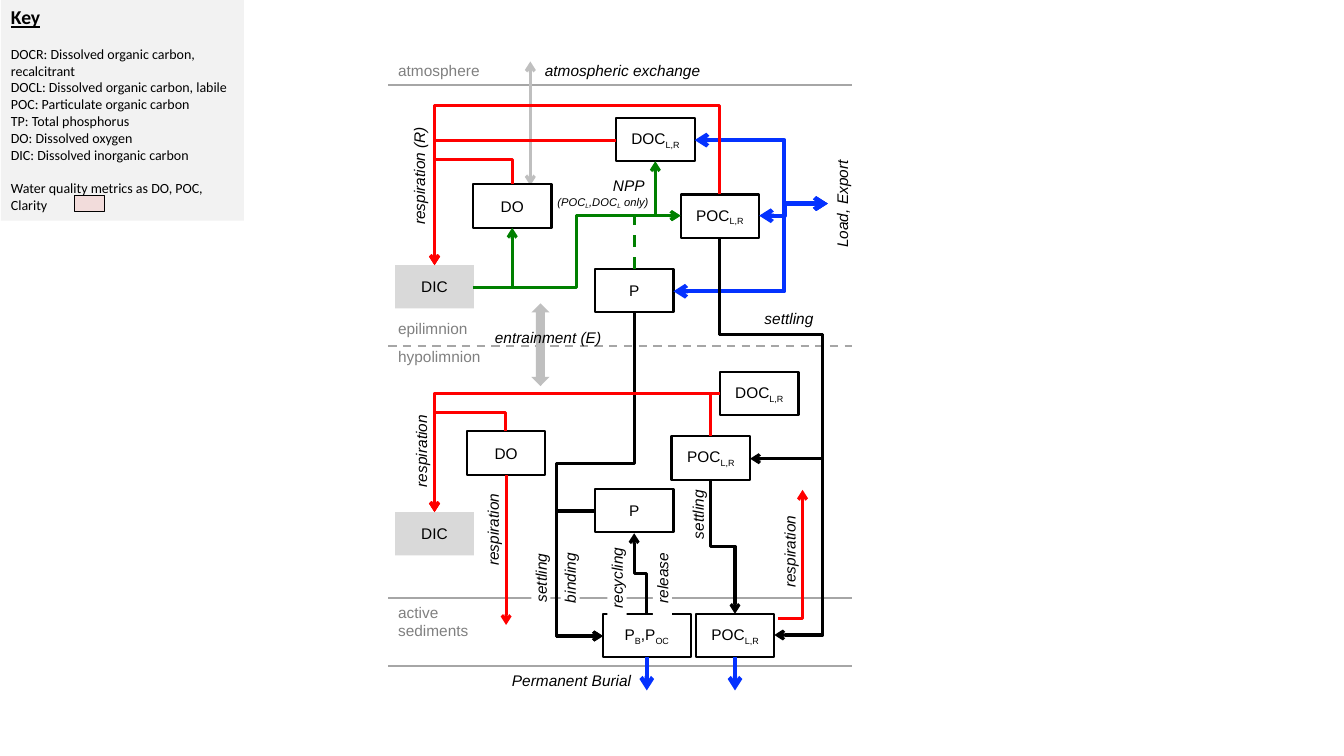
import pptx
import pptx.util
import pptx.dml.color
import pptx.enum.dml
import pptx.enum.shapes
import pptx.enum.text
from lxml import etree
from pptx.oxml.ns import qn

Inches, Pt = pptx.util.Inches, pptx.util.Pt
RGB = pptx.dml.color.RGBColor.from_string
DASH = pptx.enum.dml.MSO_LINE.DASH
SHAPE = pptx.enum.shapes.MSO_SHAPE
LINK = pptx.enum.shapes.MSO_CONNECTOR
ALIGN = pptx.enum.text.PP_ALIGN
ANCHOR = pptx.enum.text.MSO_ANCHOR

THEME = {
    "black": "000000", "white": "FFFFFF", "red": "FF0000", "green": "008000",
    "blue": "0432FF", "rule": "A6A6A6", "swap": "BFBFBF", "pool": "D9D9D9",
    "zone": "808080", "key": "F2F2F2", "rose": "F2DCDB",
    "font": "Arial", "keyfont": "Calibri",
    "text": 11, "small": 8, "head": 14, "body": 10,
    "edge": 1.5, "thin": 0.5, "flow": 2.25, "load": 3,
}

# Content: a leading "_" marks a subscript
KEY = [
    ("Key", 0), ("DOCR: Dissolved organic carbon, recalcitrant", 12),
    ("DOCL: Dissolved organic carbon, labile", 0),
    ("POC: Particulate organic carbon", 0), ("TP: Total phosphorus", 0),
    ("DO: Dissolved oxygen", 0), ("DIC: Dissolved inorganic carbon", 0),
    ("Water quality metrics as DO, POC, Clarity", 12),
]
RULES = [(0.84, None), (3.43, DASH), (5.93, None), (6.61, None)]
DOC, POC = ("DOC", "_L,R"), ("POC", "_L,R")
BOXW, BOXH = 0.78, 0.43
BOXES = {  # name: left, top, text, width
    "epi DO": (4.69, 1.83, ("DO",), BOXW),
    "epi DOC": (6.11, 1.17, DOC, BOXW),
    "epi POC": (6.75, 1.93, POC, BOXW),
    "epi DIC": (3.92, 2.63, ("DIC",), BOXW),
    "epi P": (5.9, 2.67, ("P",), BOXW),
    "hypo DO": (4.63, 4.28, ("DO",), BOXW),
    "hypo DOC": (7.14, 3.69, DOC, BOXW),
    "hypo POC": (6.66, 4.33, POC, BOXW),
    "hypo DIC": (3.92, 5.08, ("DIC",), BOXW),
    "hypo P": (5.9, 4.85, ("P",), BOXW),
    "bed P": (5.98, 6.09, ("P", "_B", ",P", "_OC"), 0.87),
    "bed POC": (6.9, 6.09, POC, BOXW),
}
EXPORT = (8.21, 2.02)
EPIDIC, HYPODIC = (4.31, 2.63), (4.31, 5.08)
ROUTES = [  # colour, corner points
    ("green", [(4.69, 2.85), (5.72, 2.85), (5.72, 2.14), (6.75, 2.14)]),
    ("green", [(4.69, 2.85), (5.08, 2.85), (5.08, 2.26)]),
    ("red", [(5.08, 1.83), (5.08, 1.58), (4.31, 1.58), EPIDIC]),
    ("red", [(6.11, 1.39), (4.31, 1.39), EPIDIC]),
    ("dash", [(6.29, 2.67), (6.29, 2.14), (6.75, 2.14)]),
    ("red", [(5.01, 4.28), (5.01, 4.09), (4.31, 4.09), HYPODIC]),
    ("red", [(7.14, 3.9), (4.31, 3.9), HYPODIC]),
    ("black", [(7.05, 4.76), (7.05, 5.42), (7.29, 5.42), (7.29, 6.09)]),
    ("black", [(7.14, 2.36), (7.14, 3.32), (8.16, 3.32), (8.16, 6.3), (7.68, 6.3)]),
    ("red", [(7.72, 6.14), (7.96, 6.14), (7.96, 4.86)]),
    ("blue", [(6.89, 1.39), (7.78, 1.39), (7.78, 2.02), EXPORT]),
    ("blue", [(7.53, 2.14), (7.78, 2.14), (7.78, 2.02), EXPORT]),
    ("blue", [(6.68, 2.89), (7.78, 2.89), (7.78, 2.02), EXPORT]),
    ("black", [(6.41, 6.09), (6.41, 5.69), (6.29, 5.69), (6.29, 5.29)]),
    ("black", [(5.9, 5.07), (5.52, 5.07), (5.52, 6.31), (5.98, 6.31)]),
    ("red", [(7.14, 1.93), (7.14, 1.05), (4.31, 1.05), EPIDIC]),
    ("black", [(7.14, 2.36), (7.14, 3.32), (8.16, 3.32), (8.16, 4.55), (7.44, 4.55)]),
    ("black", [(6.29, 3.1), (6.29, 4.6), (5.52, 4.6), (5.52, 6.31), (5.98, 6.31)]),
    ("green", [(6.1, 2.14), (6.5, 2.14), (6.5, 1.6)]),
    ("red", [(7.05, 4.33), (7.05, 3.9), (4.31, 3.9), HYPODIC]),
]
DROPS = [("hypo DO", "red", 6.2), ("bed P", "blue", 6.85), ("bed POC", "blue", 6.85)]
ZONES = [("atmosphere", 0.56, 1.02), ("epilimnion", 3.12, 0.9),
         ("hypolimnion", 3.39, 1.03), ("active\nsediments", 5.93, 0.9)]
NOTES = [  # text, left, top, width, turn
    ("Load, Export", 7.33, 1.88, 2.05, 270), ("settling", 7.48, 3.02, 0.69, 0),
    ("atmospheric exchange", 5.3, 0.56, 1.75, 0), ("settling", 6.58, 4.96, 0.69, 270),
    ("respiration", 4.22, 5.11, 1.34, 270), ("respiration", 7.24, 5.33, 1.19, 270),
    ("respiration (R)", 3.57, 1.6, 1.18, 270), ("respiration", 3.51, 4.33, 1.34, 270),
]
ASIDES = [("entrainment (E)", 4.81, 3.21, 1.39), ("Permanent Burial", 4.98, 6.61, 1.93)]
PATCHES = [("settling", 5.12, 0.49), ("binding", 5.16, 0.99),
           ("recycling", 5.72, 0.8), ("release", 6.17, 0.8)]
NPP = [(("NPP ",), "text"), (("(POC", "_L", ",DOC", "_L", " only)"), "small")]

deck = pptx.Presentation()
deck.slide_width, deck.slide_height = Inches(13.33), Inches(7.5)
slide = deck.slides.add_slide(deck.slide_layouts[6])
parts = slide.shapes


def put(item, fmt):
    for name, val in fmt.items():
        setattr(item, name, val)


def tint(name):
    return RGB(THEME[name])


def block(kind, at, fill, edge=None):
    form = parts.add_shape(kind, *map(Inches, at))
    form.shadow.inherit = False
    form.fill.solid()
    form.fill.fore_color.rgb = tint(fill)
    if edge:
        form.line.color.rgb, form.line.width = tint("black"), Pt(THEME[edge])
    else:
        form.line.fill.background()
    return form


def write(para, bits, size="text", hue="black", face="font", align=ALIGN.CENTER, **look):
    para.alignment = align
    for bit in bits:
        run = para.add_run()
        run.text = bit.lstrip("_")
        put(run.font, {"size": Pt(THEME[size]), "name": THEME[face], **look})
        run.font.color.rgb = tint(hue)
        if bit.startswith("_"):
            run._r.get_or_add_rPr().set("baseline", "-25000")


def label(text, x, y, w, turn=0, wrap=False, **look):
    lines = text.split("\n")
    box = parts.add_textbox(*map(Inches, (x, y, w, 0.12 + 0.17 * len(lines))))
    box.rotation, box.text_frame.word_wrap = turn, wrap
    for i, line in enumerate(lines):
        para = box.text_frame.add_paragraph() if i else box.text_frame.paragraphs[0]
        write(para, [line], **look)


def route(points, hue, width="flow", ends=("tail",), dash=None):
    """Draw a connector through right-angled corner points."""
    (x0, y0), (x1, y1) = points[0], points[-1]
    dx, dy = x1 - x0, y1 - y0
    bent = len(points) > 2
    down = bent and points[1][0] == x0
    span = (x0, y0, x1, y1)
    if down:  # laid flat about its centre, then turned a quarter
        cx, cy = (x0 + x1) / 2, (y0 + y1) / 2
        span = (cx - dy / 2, cy + dx / 2, cx + dy / 2, cy - dx / 2)
    line = parts.add_connector(LINK.ELBOW if bent else LINK.STRAIGHT, *map(Inches, span))
    prop = line._element.spPr
    if down:
        prop.find(qn("a:xfrm")).set("rot", "5400000")
    if bent:
        geom = prop.find(qn("a:prstGeom"))
        geom.set("prst", f"bentConnector{len(points) - 1}")
        guides = geom.find(qn("a:avLst"))
        for i, spot in enumerate(points[1:-2]):
            axis = (i + down) % 2
            ratio = (spot[axis] - points[0][axis]) / (dx, dy)[axis]
            etree.SubElement(guides, qn("a:gd"), name=f"adj{i + 1}",
                             fmla=f"val {round(ratio * 100000)}")
    line.line.color.rgb = tint(hue)
    put(line.line, {"width": Pt(THEME[width]), "dash_style": dash})
    for end in ends:
        etree.SubElement(prop.find(qn("a:ln")), qn(f"a:{end}End"), type="arrow")
    etree.SubElement(prop, qn("a:effectLst"))
    return line


# Layer boundaries and exchanges
for y, dash in RULES:
    route([(3.85, y), (8.45, y)], "rule", "edge", (), dash)
route([(5.26, 1.84), (5.26, 0.61)], "swap", ends=("head", "tail"))
block(SHAPE.LEFT_RIGHT_ARROW, (4.95, 3.33, 0.82, 0.18), "swap").rotation = 90

# Stores
made = {}
for name, (x, y, bits, w) in BOXES.items():
    gas = "DIC" in name
    box = block(SHAPE.RECTANGLE, (x, y, w, BOXH), "pool" if gas else "white",
                None if gas else "edge")
    box.text_frame.vertical_anchor = ANCHOR.MIDDLE
    write(box.text_frame.paragraphs[0], bits)
    made[name] = box

# Flows
for hue, points in ROUTES:
    if hue == "blue":
        route(points, hue, "load", ("head", "tail"))
    elif hue == "dash":
        route(points, "green", dash=DASH)
    else:
        route(points, hue)
for name, hue, foot in DROPS:
    x, y, _, w = BOXES[name]
    drop = route([(x + w / 2, y + BOXH), (x + w / 2, foot)], hue,
                 "load" if hue == "blue" else "flow")
    drop.begin_connect(made[name], 2)

# Labels
for text, y, w in ZONES:
    label(text, 3.85, y, w, hue="zone", align=ALIGN.LEFT)
for note in NOTES:
    label(*note, italic=True)
for aside in ASIDES:
    label(*aside, wrap=True, align=ALIGN.LEFT, italic=True)
for text, x, w in PATCHES:
    patch = block(SHAPE.RECTANGLE, (x, 5.64, w, 0.19), "white")
    patch.rotation = 270
    put(patch.text_frame, {"margin_left": 0, "margin_right": 0, "margin_top": 0,
                           "margin_bottom": 0, "word_wrap": False,
                           "vertical_anchor": ANCHOR.TOP})
    write(patch.text_frame.paragraphs[0], [text], italic=True)
frame = parts.add_textbox(*map(Inches, (5.36, 1.7, 1.17, 0.42))).text_frame
frame.word_wrap = True
for i, (bits, size) in enumerate(NPP):
    para = frame.add_paragraph() if i else frame.paragraphs[0]
    write(para, bits, size, align=ALIGN.RIGHT, italic=True)

# Key
frame = block(SHAPE.RECTANGLE, (0.01, 0, 2.41, 2.19), "key").text_frame
put(frame, {"word_wrap": True, "vertical_anchor": ANCHOR.TOP})
for i, (text, gap) in enumerate(KEY):
    para = frame.add_paragraph() if i else frame.paragraphs[0]
    para.space_before = Pt(gap)
    write(para, [text], "body" if i else "head", face="keyfont", align=ALIGN.LEFT,
          bold=not i, underline=not i)
    put(para._p.get_or_add_pPr(), {"marL": Inches(0.2), "indent": Inches(-0.2)})
block(SHAPE.RECTANGLE, (0.74, 1.94, 0.3, 0.16), "rose", "thin")

deck.save("out.pptx")
